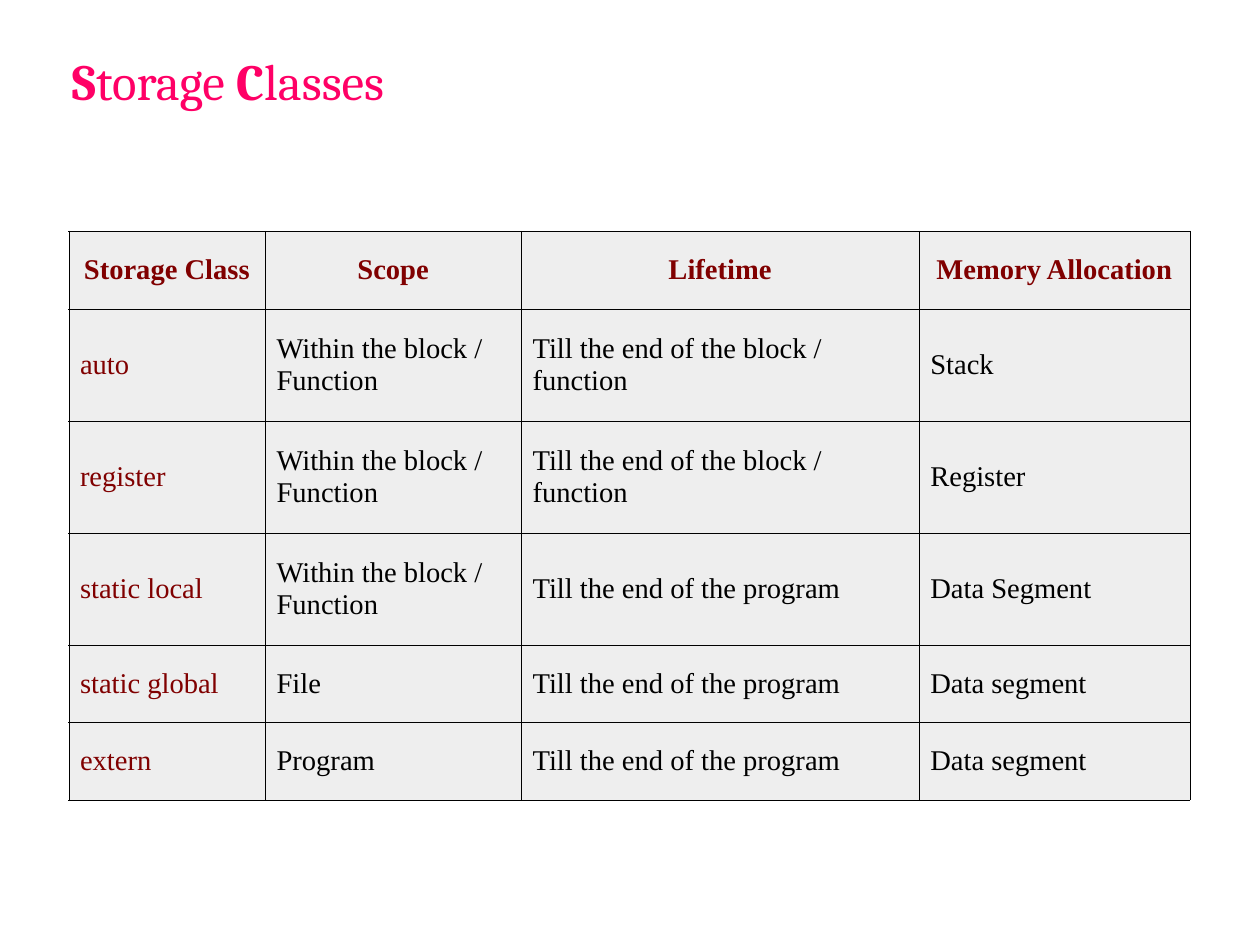
from lxml import etree
from pptx import Presentation
from pptx.dml.color import RGBColor
from pptx.enum.text import MSO_ANCHOR, PP_ALIGN
from pptx.oxml.ns import qn
from pptx.util import Inches, Pt

MIDDLE = MSO_ANCHOR.MIDDLE
LEFT, CENTER = PP_ALIGN.LEFT, PP_ALIGN.CENTER

PINK = RGBColor(0xFF, 0x00, 0x66)
MAROON = RGBColor(0x80, 0x00, 0x00)
BLACK = RGBColor(0x00, 0x00, 0x00)
GREY = RGBColor(0xEE, 0xEE, 0xEE)

TITLE_RUNS = [("S", True), ("torage ", False), ("C", True), ("lasses", False)]
BLOCK_SCOPE = "Within the block /\nFunction"
BLOCK_LIFETIME = "Till the end of the block / function"
PROGRAM_LIFETIME = "Till the end of the program"
STORAGE_CLASSES = [
    ("Storage Class", "Scope", "Lifetime", "Memory Allocation"),
    ("auto", BLOCK_SCOPE, BLOCK_LIFETIME, "Stack"),
    ("register", BLOCK_SCOPE, BLOCK_LIFETIME, "Register"),
    ("static local", BLOCK_SCOPE, PROGRAM_LIFETIME, "Data Segment"),
    ("static global", "File", PROGRAM_LIFETIME, "Data segment"),
    ("extern", "Program", PROGRAM_LIFETIME, "Data segment"),
]
CM_PER_INCH = 2.54
SLIDE_WIDTH = Inches(28 / CM_PER_INCH)
SLIDE_HEIGHT = Inches(21 / CM_PER_INCH)
COLUMN_WIDTHS = [1.72, 2.24, 3.48, 2.37]
ONE_LINE_HEIGHT, TWO_LINE_HEIGHT = 0.68, 0.98
BORDER_WIDTH = Pt(0.06)


def style_font(font, name, size, color, bold):
    font.name = name
    font.size = Pt(size)
    font.color.rgb = color
    font.bold = bold


def add_title(slide):
    box = slide.shapes.add_textbox(Inches(0.63), Inches(0.01), Inches(9.85), Inches(1.38))
    frame = box.text_frame
    frame.word_wrap = True
    frame.vertical_anchor = MIDDLE
    frame.margin_left = frame.margin_right = frame.margin_top = frame.margin_bottom = 0
    for text, bold in TITLE_RUNS:
        run = frame.paragraphs[0].add_run()
        run.text = text
        style_font(run.font, "Cambria", 32, PINK, bold)


def add_borders(cell):
    properties = cell._tc.get_or_add_tcPr()
    for position, side in enumerate(("lnL", "lnR", "lnT", "lnB")):
        line = etree.Element(qn(f"a:{side}"), w=str(BORDER_WIDTH))
        fill = etree.SubElement(line, qn("a:solidFill"))
        etree.SubElement(fill, qn("a:srgbClr"), val=str(BLACK))
        properties.insert(position, line)


def fill_cell(cell, text, is_header, is_first_column):
    cell.text_frame.text = text
    cell.vertical_anchor = MIDDLE
    cell.fill.solid()
    cell.fill.fore_color.rgb = GREY
    add_borders(cell)
    color = MAROON if is_header or is_first_column else BLACK
    for paragraph in cell.text_frame.paragraphs:
        paragraph.alignment = CENTER if is_header else LEFT
        for run in paragraph.runs:
            style_font(run.font, "Times New Roman", 18, color, is_header)


def add_storage_table(slide):
    heights = [
        TWO_LINE_HEIGHT if BLOCK_SCOPE in row else ONE_LINE_HEIGHT
        for row in STORAGE_CLASSES
    ]
    table = slide.shapes.add_table(
        len(heights), len(COLUMN_WIDTHS), Inches(0.6), Inches(2.02),
        Inches(sum(COLUMN_WIDTHS)), Inches(sum(heights)),
    ).table
    for column, width in zip(table.columns, COLUMN_WIDTHS):
        column.width = Inches(width)
    for row_index, (row, height) in enumerate(zip(STORAGE_CLASSES, heights)):
        table.rows[row_index].height = Inches(height)
        for column_index, text in enumerate(row):
            cell = table.cell(row_index, column_index)
            fill_cell(cell, text, row_index == 0, column_index == 0)


def main():
    presentation = Presentation()
    presentation.slide_width = SLIDE_WIDTH
    presentation.slide_height = SLIDE_HEIGHT
    slide = presentation.slides.add_slide(presentation.slide_layouts[6])
    add_title(slide)
    add_storage_table(slide)
    presentation.save("out.pptx")


if __name__ == "__main__":
    main()
